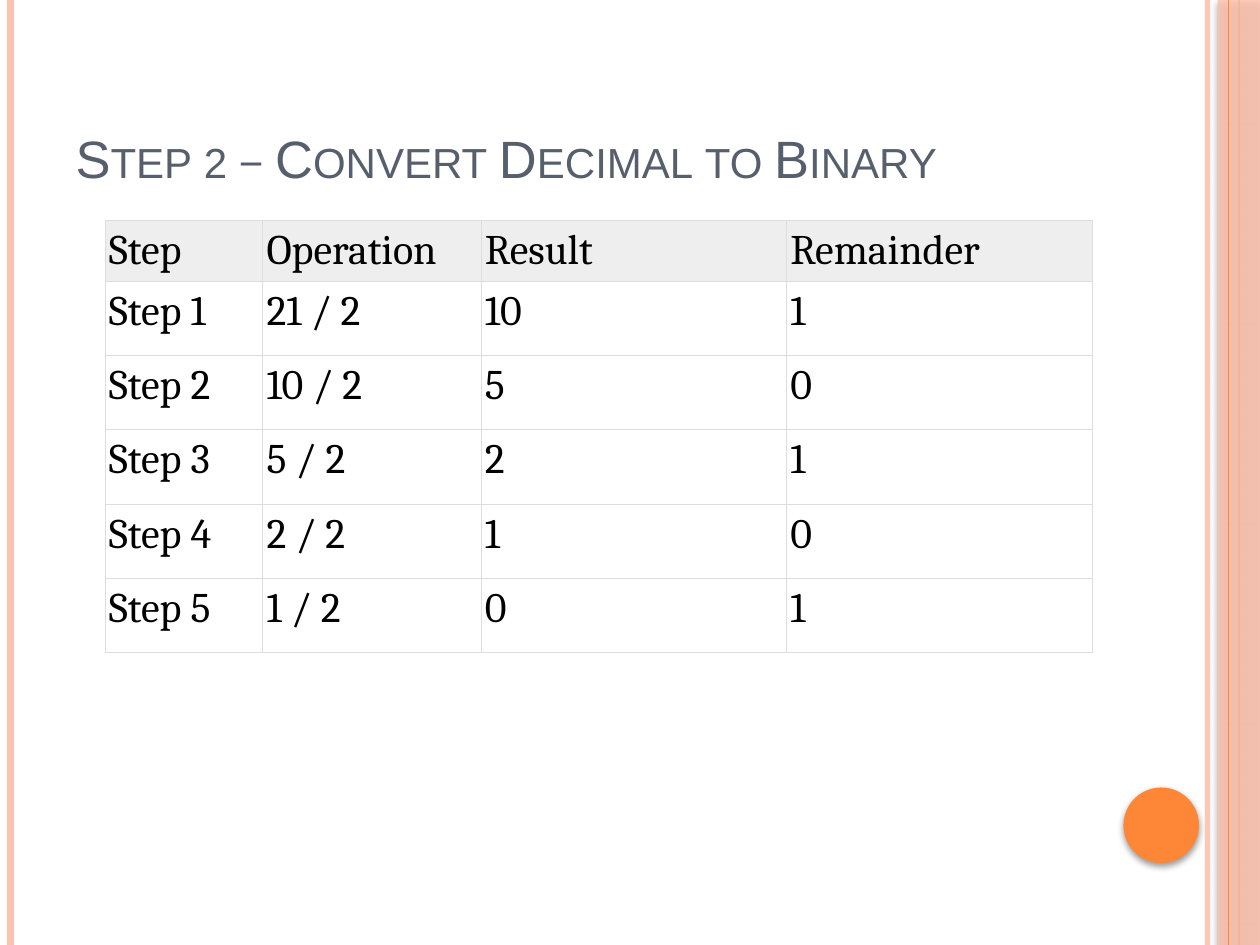
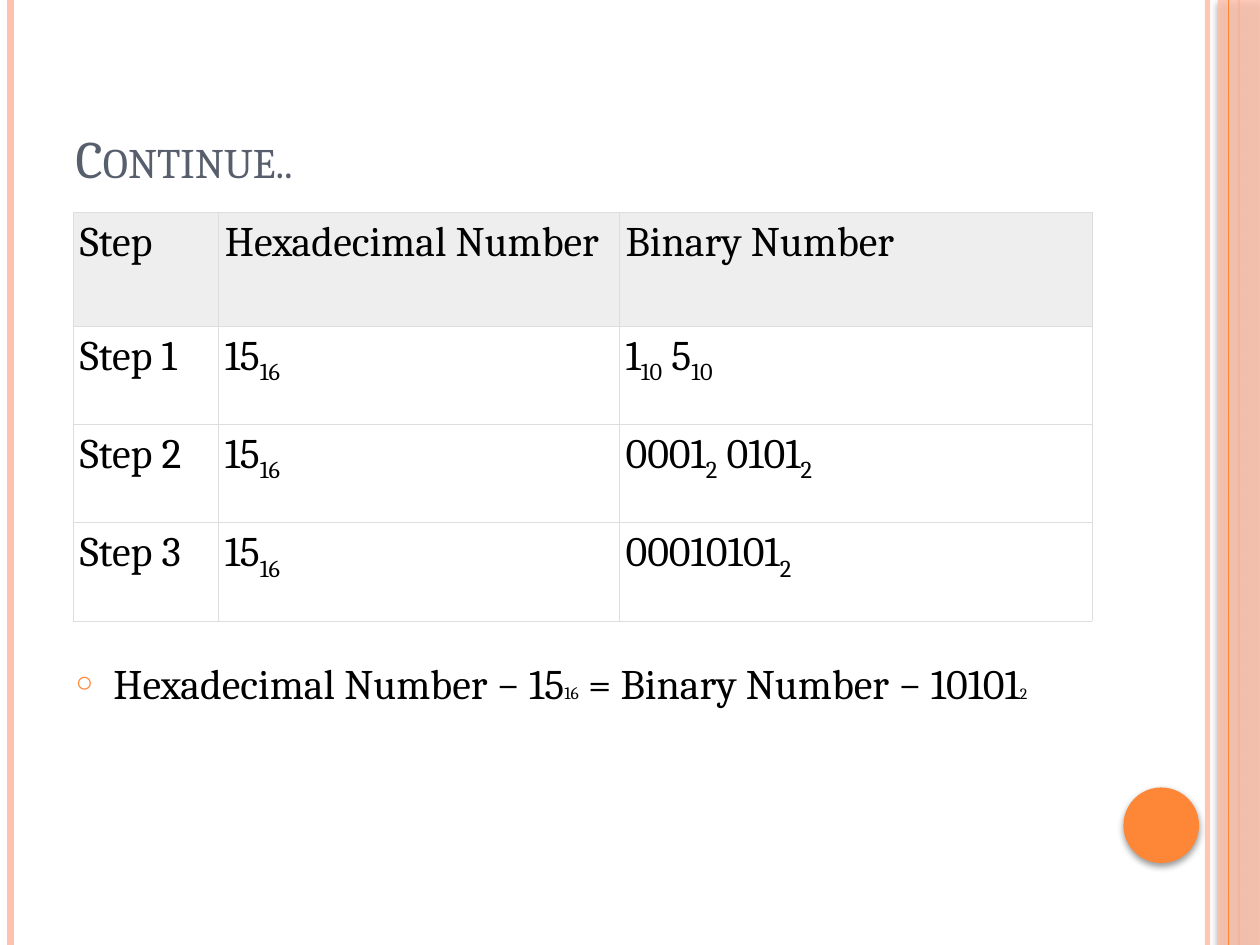
from dataclasses import dataclass

from lxml import etree
from pptx import Presentation
from pptx.dml.color import RGBColor
from pptx.enum.shapes import MSO_CONNECTOR, MSO_SHAPE
from pptx.enum.text import MSO_ANCHOR, MSO_AUTO_SIZE, PP_ALIGN
from pptx.oxml.ns import qn
from pptx.util import Inches, Pt

STRAIGHT = MSO_CONNECTOR.STRAIGHT
RECTANGLE, OVAL = MSO_SHAPE.RECTANGLE, MSO_SHAPE.OVAL
BOTTOM, TOP = MSO_ANCHOR.BOTTOM, MSO_ANCHOR.TOP
LEFT = PP_ALIGN.LEFT
NO_FIT = MSO_AUTO_SIZE.NONE
TITLE_AND_BODY, TITLE_ONLY = 1, 5

SLIDE_W, SLIDE_H = Inches(10), Inches(7.5)
GRID_COLUMNS, GRID_ROWS = 120, 90


@dataclass(frozen=True)
class Theme:
    orange: str = "FE8637"
    peach: str = "FEC2AE"
    slate: str = "575F6D"
    ink: str = "000000"
    header: str = "EEEEEE"
    border: str = "DDDDDD"
    sans: str = "Arial"
    serif: str = "Cambria"
    title_size: float = 30
    text_size: float = 24
    border_width: float = 0.5


THEME = Theme()


def grid_box(column, row, columns, rows):
    """Turn grid units into left, top, width and height."""
    across, down = SLIDE_W / GRID_COLUMNS, SLIDE_H / GRID_ROWS
    return [round(n) for n in
            (column * across, row * down, columns * across, rows * down)]


def color(value):
    return RGBColor.from_string(value)


def child(parent, tag, **attributes):
    return etree.SubElement(parent, qn(tag), attributes)


def set_alpha(element, percent):
    child(next(element.iter(qn("a:srgbClr"))), "a:alpha", val=str(percent * 1000))


def add_run(paragraph, text, font=THEME.serif, size=THEME.text_size, tint=THEME.ink):
    run = paragraph.add_run()
    run.text = text
    run.font.name, run.font.size = font, Pt(size)
    run.font.color.rgb = color(tint)
    return run._r.get_or_add_rPr()


# Shared frame: side lines, right band and page dot

def add_rule(slide, column, tint, width, alpha=None):
    x, top, _, height = grid_box(column, 0, 0, GRID_ROWS)
    rule = slide.shapes.add_connector(STRAIGHT, x, top, x, top + height)
    rule.line.color.rgb, rule.line.width = color(tint), Pt(width)
    if alpha:
        set_alpha(rule.line._ln, alpha)
    child(rule.element.spPr, "a:effectLst")
    return rule


def add_raised(slide, preset, box, tint, alpha=None):
    raised = slide.shapes.add_shape(preset, *grid_box(*box))
    raised.fill.solid()
    raised.fill.fore_color.rgb = color(tint)
    raised.line.fill.background()
    properties = raised.element.spPr
    if alpha:
        set_alpha(properties, alpha)
    raised.shadow.inherit = False
    shadow = child(properties.find(qn("a:effectLst")), "a:outerShdw",
                   blurRad=str(Pt(4)), dist=str(Pt(2)), dir="5400000", rotWithShape="0")
    child(shadow, "a:srgbClr", val=THEME.ink)
    set_alpha(shadow, 40)
    return raised


def add_frame(slide):
    """Draw the frame and hand it to the master, behind its placeholders."""
    frame = [
        add_rule(slide, 115, THEME.peach, 3, 93),
        add_rule(slide, 1, THEME.peach, 4.5),
        add_rule(slide, 118, THEME.orange, 1.5),
        add_raised(slide, RECTANGLE, (116, 0, 4, GRID_ROWS), THEME.peach, 87),
        add_rule(slide, 117, THEME.orange, 0.75),
        add_raised(slide, OVAL, (107, 75, 7.2, 7.2), THEME.orange),
    ]
    master_tree = slide.slide_layout.slide_master.shapes.element
    for order, part in enumerate(frame):
        part.element.xpath(".//p:cNvPr")[0].set("id", str(100 + order))
        master_tree.insert(2 + order, part.element)


# Title and body placeholders

def place(placeholder, box, anchor):
    placeholder.left, placeholder.top, placeholder.width, placeholder.height = grid_box(*box)
    frame = placeholder.text_frame
    frame.auto_size, frame.word_wrap = NO_FIT, True
    frame.vertical_anchor = anchor
    paragraph = frame.paragraphs[0]
    paragraph.alignment = LEFT
    return paragraph


def fill_title(slide, text, font):
    heading = place(slide.shapes.title, (6, 3.6, 98, 15), BOTTOM)
    add_run(heading, text, font, THEME.title_size, THEME.slate).set("cap", "small")


def fill_conclusion(slide, box, pieces):
    conclusion = place(slide.placeholders[1], box, TOP)
    bullet = conclusion._p.get_or_add_pPr()
    bullet.set("marL", str(Inches(0.3)))
    bullet.set("indent", str(-Inches(0.3)))
    child(child(bullet, "a:buClr"), "a:srgbClr", val=THEME.orange)
    child(bullet, "a:buSzPct", val="70000")
    child(bullet, "a:buChar", char="○")
    conclusion.space_before = Pt(0)
    for text, size in pieces:
        add_run(conclusion, text, size=size)


# Tables

def share_out(total, weights):
    return [round(total * weight / sum(weights)) for weight in weights]


def add_borders(cell):
    properties = cell._tc.get_or_add_tcPr()
    for side in ("a:lnL", "a:lnR", "a:lnT", "a:lnB"):
        line = child(properties, side, w=str(Pt(THEME.border_width)))
        child(child(line, "a:solidFill"), "a:srgbClr", val=THEME.border)


def fill_cell(cell, text, side_margin, is_header):
    """Write a cell; every second piece between underscores is a subscript."""
    cell.margin_left = cell.margin_right = Inches(side_margin)
    add_borders(cell)
    if is_header:
        cell.fill.solid()
        cell.fill.fore_color.rgb = color(THEME.header)
    else:
        cell.fill.background()
    for order, piece in enumerate(filter(None, text.split("_"))):
        properties = add_run(cell.text_frame.paragraphs[0], piece)
        if order % 2:
            properties.set("baseline", "-25000")


def add_steps(slide, box, column_weights, row_weights, side_margin, records):
    left, top, width, height = grid_box(*box)
    steps = slide.shapes.add_table(len(records), len(records[0]),
                                   left, top, width, height).table
    steps.first_row = steps.horz_banding = False
    for column, share in zip(steps.columns, share_out(width, column_weights)):
        column.width = share
    for row, share in zip(steps.rows, share_out(height, row_weights)):
        row.height = share
    for r, record in enumerate(records):
        for c, text in enumerate(record):
            fill_cell(steps.cell(r, c), text, side_margin, r == 0)


# Slides

def add_division_slide(slide):
    fill_title(slide, "Step 2 − Convert Decimal to Binary", THEME.sans)
    add_steps(slide, (10, 21, 94, 41.1), (1.25, 1.73, 2.42, 2.42),
              (0.48,) + (0.59,) * 5, 0.03, [
        ("Step", "Operation", "Result", "Remainder"),
        ("Step 1", "21 / 2", "10", "1"),
        ("Step 2", "10 / 2", "5", "0"),
        ("Step 3", "5 / 2", "2", "1"),
        ("Step 4", "2 / 2", "1", "0"),
        ("Step 5", "1 / 2", "0", "1"),
    ])


def add_shortcut_slide(slide):
    fill_title(slide, "Continue..", THEME.serif)
    fill_conclusion(slide, (6, 62, 98, 23), [
        ("Hexadecimal Number − 15", THEME.text_size), ("16", 10),
        (" = Binary Number − 10101", THEME.text_size), ("2", 9),
    ])
    add_steps(slide, (7, 20.25, 97, 38.9), (1.15, 3.18, 3.75),
              (0.9,) + (0.78,) * 3, 0.05, [
        ("Step", "Hexadecimal Number", "Binary Number"),
        ("Step 1", "15_16", "1_10_ 5_10"),
        ("Step 2", "15_16", "0001_2_ 0101_2"),
        ("Step 3", "15_16", "00010101_2"),
    ])


def main():
    deck = Presentation()
    deck.slide_width, deck.slide_height = SLIDE_W, SLIDE_H
    division = deck.slides.add_slide(deck.slide_layouts[TITLE_ONLY])
    shortcut = deck.slides.add_slide(deck.slide_layouts[TITLE_AND_BODY])
    add_frame(division)
    add_division_slide(division)
    add_shortcut_slide(shortcut)
    deck.save("out.pptx")


if __name__ == "__main__":
    main()
